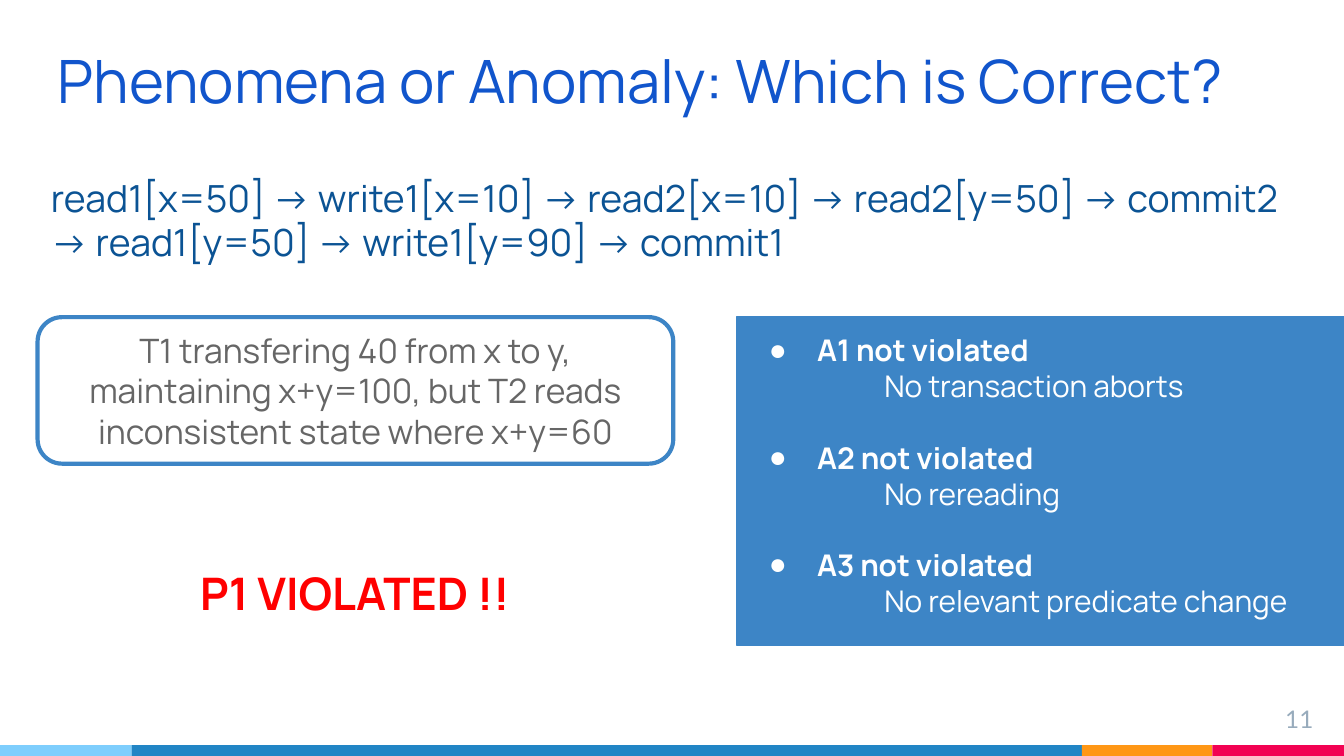
from lxml.etree import SubElement
from pptx import Presentation
from pptx.dml.color import RGBColor
from pptx.enum.shapes import MSO_SHAPE as Shape
from pptx.enum.text import MSO_ANCHOR as Anchor, MSO_AUTO_SIZE as AutoSize, PP_ALIGN as Align
from pptx.oxml.ns import qn
from pptx.util import Inches, Pt

COLORS = {
    "title": "1155CC", "schedule": "0B5394", "panel": "3D85C6", "white": "FFFFFF",
    "note": "666666", "alert": "FF0000", "number": "97ABBC",
    "sky": "7ECEFD", "blue": "2185C5", "orange": "FF9715", "pink": "F20253",
}
SLIDE_WIDTH = 10
SLIDE_HEIGHT = SLIDE_WIDTH * 9 / 16
STRIPE_HEIGHT = 0.08
STRIPES = [("sky", 0.98), ("blue", 7.07), ("orange", 0.97), ("pink", 0.98)]
TITLE = "Phenomena or Anomaly: Which is Correct?"
SCHEDULE = ["read1[x=50]", "write1[x=10]", "read2[x=10]", "read2[y=50]", "commit2",
            "read1[y=50]", "write1[y=90]", "commit1"]
NOTE = "T1 transfering 40 from x to y, maintaining x+y=100, but T2 reads inconsistent state where x+y=60"
VERDICT = "P1 VIOLATED !!"
FINDINGS = [
    ("A1 not violated", "No transaction aborts"),
    ("A2 not violated", "No rereading"),
    ("A3 not violated", "No relevant predicate change"),
]
PANEL_BOX = (5.48, 2.36, 4.52, 2.44)
FINDINGS_BOX = (5.48, 2.37, 4.52, 2.44)


def set_values(target, values):
    for name, value in values.items():
        setattr(target, name, value)


def place(shape, box):
    names = ("left", "top", "width", "height")
    set_values(shape, dict(zip(names, map(Inches, box))))


def prepare_frame(shape, anchor=Anchor.TOP, **margins):
    frame = shape.text_frame
    values = {f"margin_{side}": Inches(0.1) for side in ("left", "top", "right", "bottom")}
    values |= {"word_wrap": True, "auto_size": AutoSize.NONE, "vertical_anchor": anchor}
    set_values(frame, values | margins)
    return frame


def write(paragraph, text, size, color, align=Align.LEFT, bold=False, font="Manrope"):
    set_values(paragraph, {"alignment": align, "space_before": Pt(0)})
    run = paragraph.add_run()
    run.text = text
    set_values(run.font, {"name": font, "size": Pt(size), "bold": bold})
    run.font.color.rgb = RGBColor.from_string(COLORS[color])


def add_block(slide, kind, box, fill, line=None, line_width=0.75):
    shape = slide.shapes.add_shape(kind, *map(Inches, box))
    shape.shadow.inherit = False
    shape.fill.solid()
    shape.fill.fore_color.rgb = RGBColor.from_string(COLORS[fill])
    if line:
        shape.line.color.rgb = RGBColor.from_string(COLORS[line])
        shape.line.width = Pt(line_width)
    else:
        shape.line.fill.background()
    return shape


def add_text(slide, box, *style, **options):
    shape = slide.shapes.add_textbox(*map(Inches, box))
    write(prepare_frame(shape).paragraphs[0], *style, **options)


def add_bullet(paragraph, left, hanging, character):
    properties = paragraph._p.get_or_add_pPr()
    properties.set("marL", str(Inches(left)))
    properties.set("indent", str(Inches(-hanging)))
    color = SubElement(properties, qn("a:buClr"))
    SubElement(color, qn("a:srgbClr"), val=COLORS["white"])
    SubElement(properties, qn("a:buChar"), char=character)


def fill_findings(frame):
    for index, (finding, reason) in enumerate(FINDINGS):
        paragraph = frame.add_paragraph() if index else frame.paragraphs[0]
        write(paragraph, finding, 16, "white", bold=True)
        paragraph.add_line_break()
        write(paragraph, "\t" + reason, 16, "white")
        paragraph.space_after = Pt(19.2)
        add_bullet(paragraph, 0.5, 0.36, "●")


def main():
    presentation = Presentation()
    set_values(presentation, {"slide_width": Inches(SLIDE_WIDTH), "slide_height": Inches(SLIDE_HEIGHT)})
    slide = presentation.slides.add_slide(presentation.slide_layouts[1])
    title, findings = slide.placeholders

    left = 0
    for color, width in STRIPES:
        add_block(slide, Shape.RECTANGLE, (left, SLIDE_HEIGHT - STRIPE_HEIGHT, width, STRIPE_HEIGHT), color)
        left += width

    place(title, (0.33, 0.34, 9.45, 1.09))
    frame = prepare_frame(title, Anchor.BOTTOM, margin_top=0, margin_bottom=Inches(0.57))
    write(frame.paragraphs[0], TITLE, 32, "title")

    add_text(slide, (9.27, 5.14, 0.6, 0.34), "11", 13, "number", align=Align.RIGHT, font="Lato")
    add_text(slide, (0.28, 1.2, 9.45, 0.98), " -> ".join(SCHEDULE), 20, "schedule")

    note = add_block(slide, Shape.FLOWCHART_ALTERNATE_PROCESS, (0.28, 2.36, 4.73, 1.09), "white", "panel", 2.25)
    write(prepare_frame(note, Anchor.MIDDLE).paragraphs[0], NOTE, 18, "note", align=Align.CENTER)

    panel = add_block(slide, Shape.RECTANGLE, PANEL_BOX, "panel", "panel")
    place(findings, FINDINGS_BOX)
    fill_findings(prepare_frame(findings))
    panel._element.addnext(findings._element)

    add_text(slide, (0.29, 4.11, 4.7, 0.69), VERDICT, 24, "alert", align=Align.CENTER, bold=True)
    presentation.save("out.pptx")


if __name__ == "__main__":
    main()
